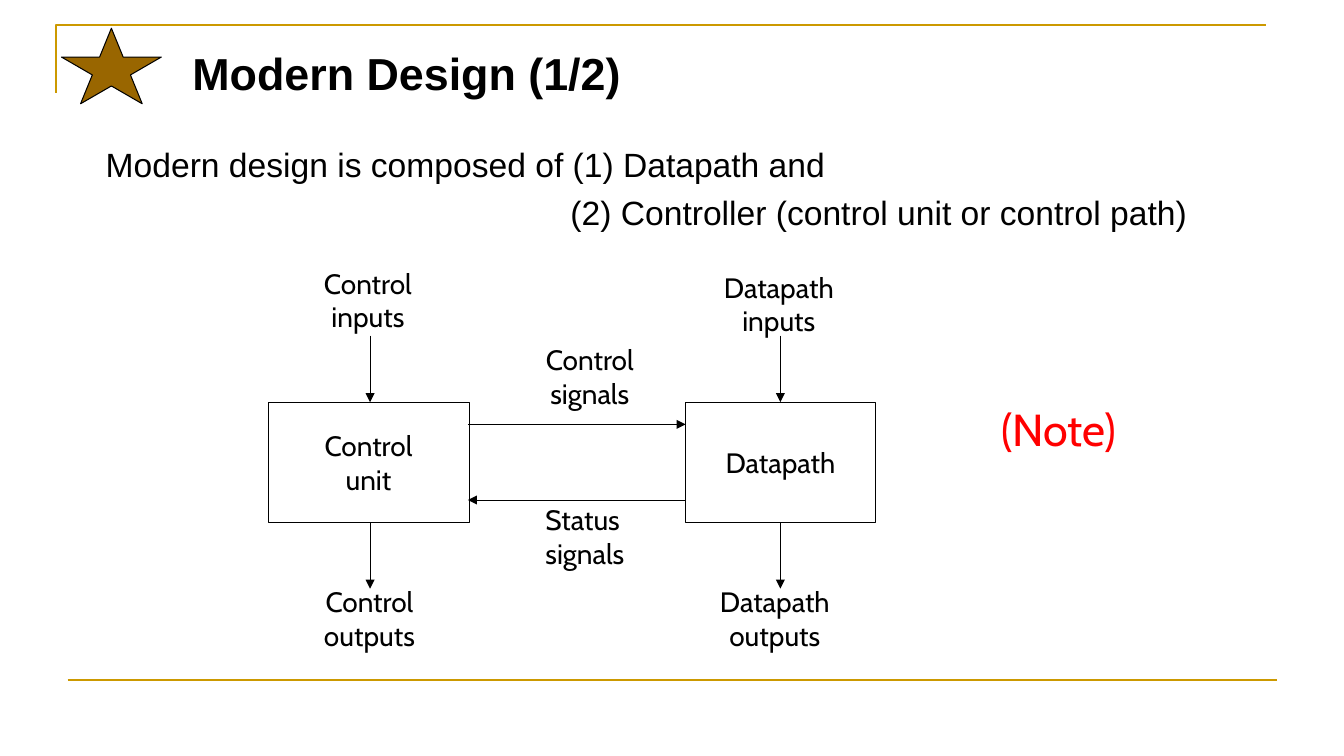
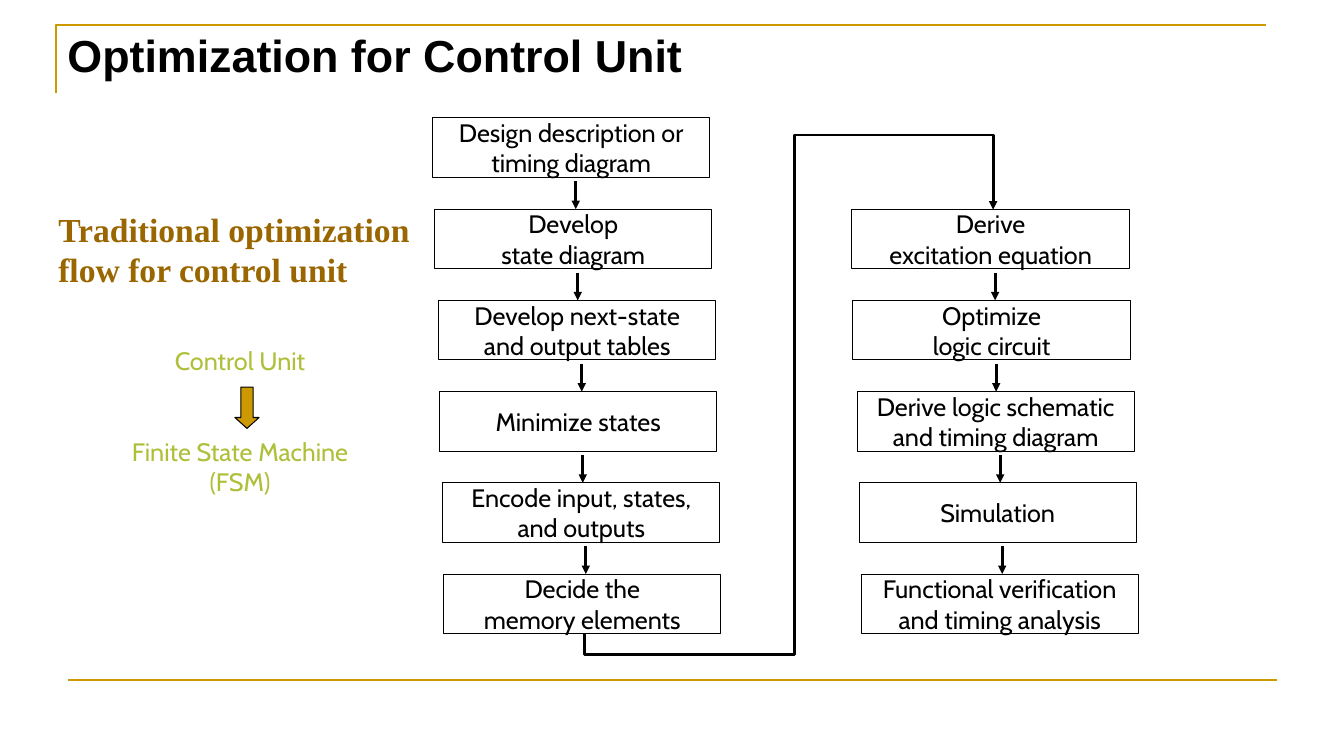
from lxml.etree import SubElement
from pptx import Presentation
from pptx.dml.color import RGBColor
from pptx.enum.shapes import MSO_CONNECTOR as Link, MSO_SHAPE as Preset
from pptx.enum.text import MSO_ANCHOR as Anchor, PP_ALIGN as Align
from pptx.oxml.ns import qn
from pptx.util import Inches, Pt

BLACK, WHITE, RED = "000000", "FFFFFF", "FF0000"
GOLD, BROWN, LIME = "CC9900", "996600", "AFBF39"
BODY, HEADING, SERIF = "Cabin", "Arial", "Times New Roman"
HAIR, THIN, RULE, BOLD_LINE = 0.25, 0.75, 1.5, 2

STATEMENTS = [
    ("Modern design is composed of (1) Datapath and", 0.95, 1.22, 9.61),
    ("(2) Controller (control unit or control path)", 5.56, 1.69, 7.37),
]
UNIT_TOP, UNIT_HEIGHT, PORT_LENGTH = 3.99, 1.19, 0.66
UNITS = [
    (["Control", "unit"], 2.66, 1.99, 3.67),
    (["Datapath"], 6.8, 1.88, 7.74),
]
LABELS = [
    (["Control", "inputs"], 3.2, 2.64, 0.9, Align.CENTER),
    (["Datapath", "inputs"], 7.16, 2.68, 1.13, Align.CENTER),
    (["Control", "outputs"], 3.2, 5.8, 0.93, Align.CENTER),
    (["Datapath", "outputs"], 7.12, 5.8, 1.13, Align.CENTER),
    (["Control", "signals"], 5.4, 3.4, 0.9, Align.CENTER),
    (["Status", "signals"], 5.41, 4.99, 0.87, Align.LEFT),
]
SIGNALS = [((4.64, 4.21), (6.8, 4.21)), ((6.8, 4.96), (4.64, 4.96))]

STEP_TOP, STEP_PITCH, STEP_WIDTH, STEP_HEIGHT = 1.17, 0.905, 2.75, 0.59
ARROW_SHIFT, ARROW_GAP = 1.42, 0.04
FLOWS = [
    (0, [
        (4.29, ["Design description or", "timing diagram"]),
        (4.31, ["Develop", "state diagram"]),
        (4.35, ["Develop next-state", "and output tables"]),
        (4.36, ["Minimize states"]),
        (4.39, ["Encode input, states,", "and outputs"]),
        (4.4, ["Decide the", "memory elements"]),
    ]),
    (1, [
        (8.45, ["Derive", "excitation equation"]),
        (8.46, ["Optimize", "logic circuit"]),
        (8.5, ["Derive logic schematic", "and timing diagram"]),
        (8.52, ["Simulation"]),
        (8.54, ["Functional verification", "and timing analysis"]),
    ]),
]
RETURN_PATH = [(5.8, 6.29), (5.8, 6.49), (7.88, 6.49), (7.88, 1.34),
               (9.85, 1.34), (9.85, 2.08)]


def rgb(code):
    """Turn a hex string into a colour."""
    return RGBColor.from_string(code)


def paint(shape, fill=None, line=None, weight=THIN):
    """Set fill and outline and remove the shadow."""
    shape.shadow.inherit = False
    if fill:
        shape.fill.solid()
        shape.fill.fore_color.rgb = rgb(fill)
    else:
        shape.fill.background()
    if line:
        shape.line.color.rgb = rgb(line)
        shape.line.width = Pt(weight)
    else:
        shape.line.fill.background()


def point_tail(shape):
    """Put a triangle head on the end of a line."""
    outline = shape.element.spPr.find(qn("a:ln"))
    SubElement(outline, qn("a:tailEnd"), type="triangle")


def write(frame, lines, size, font=BODY, color=BLACK, bold=False,
          align=Align.LEFT, spacing=None):
    """Fill a text frame with one paragraph per line."""
    frame.word_wrap = False
    for index, line in enumerate(lines):
        para = frame.add_paragraph() if index else frame.paragraphs[0]
        para.alignment = align
        if spacing:
            para.line_spacing = spacing
        span = para.add_run()
        span.text = line
        span.font.size = Pt(size)
        span.font.name = font
        span.font.bold = bold
        span.font.color.rgb = rgb(color)


def add_text(page, lines, left, top, width, height, size, inset=True, **style):
    """Add a text box and return its frame."""
    box = page.shapes.add_textbox(*map(Inches, (left, top, width, height)))
    frame = box.text_frame
    if not inset:
        frame.margin_left = frame.margin_right = 0
        frame.margin_top = frame.margin_bottom = 0
    write(frame, lines, size, **style)
    return frame


def add_preset(page, preset, left, top, width, height, **look):
    """Add a painted preset shape."""
    shape = page.shapes.add_shape(preset, *map(Inches, (left, top, width, height)))
    paint(shape, **look)
    return shape


def add_block(page, lines, left, top, width, height, size, weight):
    """Add a white box with centred text."""
    block = add_preset(page, Preset.RECTANGLE, left, top, width, height,
                       fill=WHITE, line=BLACK, weight=weight)
    block.text_frame.vertical_anchor = Anchor.MIDDLE
    write(block.text_frame, lines, size, align=Align.CENTER)


def add_line(page, start, end, color, weight):
    """Add a straight connector without a shadow."""
    link = page.shapes.add_connector(Link.STRAIGHT, *map(Inches, start + end))
    link.line.color.rgb = rgb(color)
    link.line.width = Pt(weight)
    SubElement(link.element.spPr, qn("a:effectLst"))
    return link


def add_path(page, points, close=False, **look):
    """Add a freeform through the points."""
    corners = [(Inches(x), Inches(y)) for x, y in points]
    builder = page.shapes.build_freeform(*corners[0])
    builder.add_line_segments(corners[1:], close=close)
    shape = builder.convert_to_shape()
    paint(shape, **look)
    return shape


def add_signal(page, start, end, head=0.09):
    """Add a hairline that ends in a solid triangle."""
    (x0, y0), (x1, y1) = start, end
    length = abs(x1 - x0) + abs(y1 - y0)
    dx, dy = (x1 - x0) / length, (y1 - y0) / length
    neck = (x1 - dx * head, y1 - dy * head)
    half = head / 2
    wings = [(neck[0] - dy * side, neck[1] + dx * side) for side in (half, -half)]
    add_line(page, start, neck, BLACK, HAIR)
    add_path(page, [wings[0], end, wings[1]], close=True, fill=BLACK)


def add_page(deck, title, left, top, width):
    """Add a slide with the gold frame and a title."""
    page = deck.slides.add_slide(deck.slide_layouts[6])
    add_path(page, [(0.56, 0.92), (0.56, 0.25), (12.56, 0.25)],
             line=GOLD, weight=RULE)
    add_line(page, (0.67, 6.75), (12.67, 6.75), GOLD, RULE)
    add_text(page, [title], left, top, width, 0.64, 32, font=HEADING, bold=True)
    return page


def build_design(deck):
    """Build the block diagram of control unit and datapath."""
    page = add_page(deck, "Modern Design (1/2)", 1.81, 0.4, 4.48)
    add_preset(page, Preset.STAR_5_POINT, 0.61, 0.28, 0.99, 0.75,
               fill=BROWN, line=BLACK)
    for line, left, top, width in STATEMENTS:
        frame = add_text(page, [line], left, top, width, 0.67, 24,
                         font=HEADING, spacing=1.4)
        frame.word_wrap = True
    add_text(page, ["(Note)"], 9.83, 3.94, 1.48, 0.64, 32, color=RED)
    bottom = UNIT_TOP + UNIT_HEIGHT
    for lines, left, width, port in UNITS:
        add_block(page, lines, left, UNIT_TOP, width, UNIT_HEIGHT, 20, HAIR)
        add_signal(page, (port, UNIT_TOP - PORT_LENGTH), (port, UNIT_TOP))
        add_signal(page, (port, bottom), (port, bottom + PORT_LENGTH))
    for start, end in SIGNALS:
        add_signal(page, start, end)
    for lines, left, top, width, align in LABELS:
        add_text(page, lines, left, top, width, 0.67, 20, inset=False, align=align)


def build_optimization(deck):
    """Build the traditional optimization flow."""
    page = add_page(deck, "Optimization for Control Unit", 0.57, 0.23, 6.35)
    for first_row, steps in FLOWS:
        for row, (left, lines) in enumerate(steps, first_row):
            top = STEP_TOP + row * STEP_PITCH
            add_block(page, lines, left, top, STEP_WIDTH, STEP_HEIGHT, 18, THIN)
            if row < first_row + len(steps) - 1:
                x = left + ARROW_SHIFT
                start = (x, top + STEP_HEIGHT + ARROW_GAP)
                point_tail(add_line(page, start, (x, top + STEP_PITCH),
                                    BLACK, BOLD_LINE))
    point_tail(add_path(page, RETURN_PATH, line=BLACK, weight=BOLD_LINE))
    add_text(page, ["Traditional optimization", "flow for control unit"],
             0.48, 2.02, 3.8, 0.91, 24, font=SERIF, color=BROWN, bold=True)
    machine = add_text(page, ["Control Unit", "Finite State Machine", "(FSM)"],
                       1.14, 3.38, 2.48, 1.6, 18, color=LIME, align=Align.CENTER)
    machine.paragraphs[1].space_before = Pt(43)
    arrow = add_preset(page, Preset.DOWN_ARROW, 2.33, 3.84, 0.24, 0.41,
                       fill=GOLD, line=BLACK)
    arrow.adjustments[1] = 0.45


def main():
    """Build and save the deck."""
    deck = Presentation()
    deck.slide_width, deck.slide_height = Inches(13.33), Inches(7.5)
    build_design(deck)
    build_optimization(deck)
    deck.save("out.pptx")


if __name__ == "__main__":
    main()
